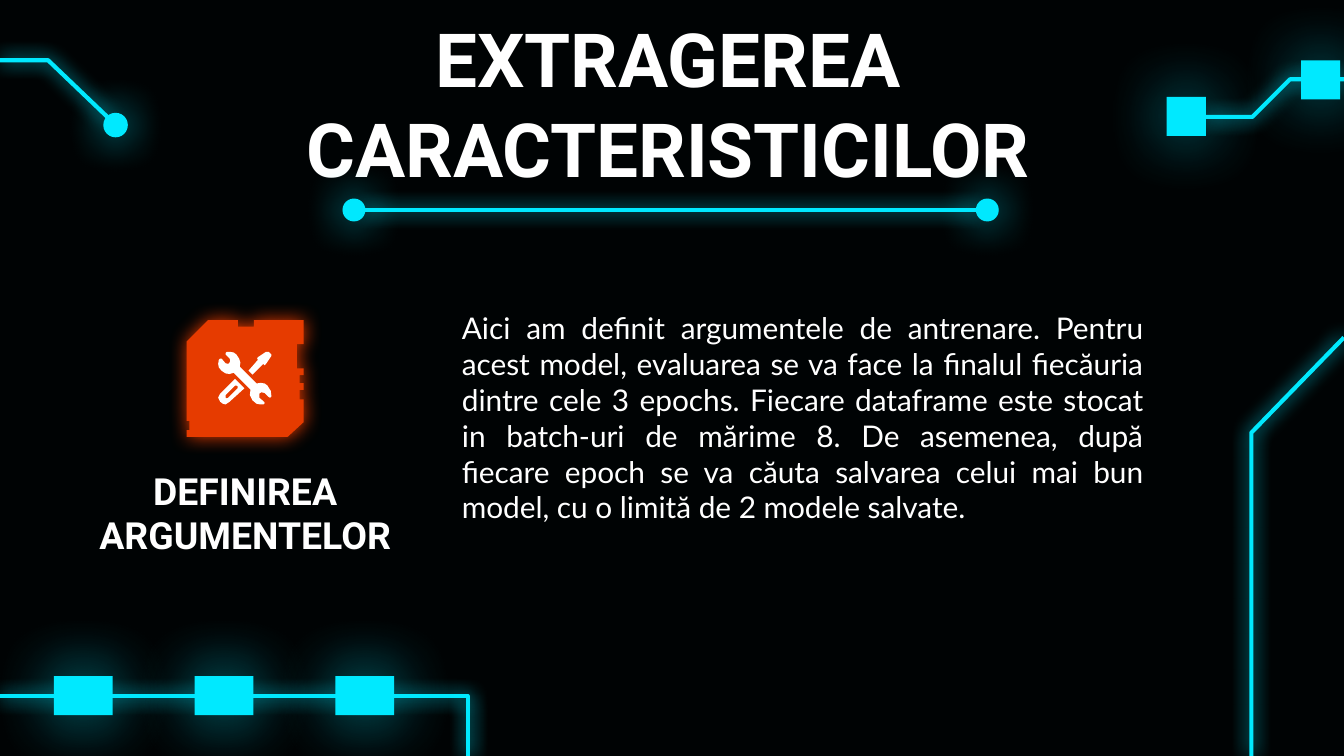
import dataclasses

import lxml.etree
import pptx
import pptx.dml.color
import pptx.enum.shapes
import pptx.enum.text
import pptx.oxml.ns
import pptx.util

Cm, Pt = pptx.util.Cm, pptx.util.Pt
RGB = pptx.dml.color.RGBColor.from_string
qn = pptx.oxml.ns.qn
SHAPE = pptx.enum.shapes.MSO_SHAPE
ALIGN = pptx.enum.text.PP_ALIGN


@dataclasses.dataclass(frozen=True)
class Theme:
    background: str = "000304"
    neon: str = "00E9FF"
    accent: str = "E63B00"
    text: str = "FFFFFF"
    heading_font: str = "Roboto"
    body_font: str = "Lato"
    title_size: int = 40
    subtitle_size: int = 20
    body_size: int = 16


theme = Theme()


def write(sp, text, box, size, font=theme.heading_font, bold=True, align=ALIGN.CENTER, top=0.25):
    sp.left, sp.top, sp.width, sp.height = [Cm(v) for v in box]
    tf = sp.text_frame
    tf.word_wrap = True
    tf.auto_size = pptx.enum.text.MSO_AUTO_SIZE.NONE
    tf.vertical_anchor = pptx.enum.text.MSO_ANCHOR.TOP
    tf.margin_left = tf.margin_right = tf.margin_bottom = Cm(0.25)
    tf.margin_top = Cm(top)
    p = tf.paragraphs[0]
    p.alignment = align
    p.line_spacing = 1.0
    p.space_before = p.space_after = Pt(0)
    r = p.add_run()
    r.text = text
    r.font.name, r.font.size, r.font.bold = font, Pt(size), bold
    r.font.color.rgb = RGB(theme.text)


def style(sp, fill=None, line=None, width=2.25, blur=0, alpha=100):
    """Set fill and line, and a glow of the same colour if blur (in points) is given."""
    if fill:
        sp.fill.solid()
        sp.fill.fore_color.rgb = RGB(fill)
    elif hasattr(sp, "fill"):
        sp.fill.background()
    if line:
        sp.line.color.rgb = RGB(line)
        sp.line.width = Pt(width)
    else:
        sp.line.fill.background()
    effects = lxml.etree.SubElement(sp._element.spPr, qn("a:effectLst"))
    if blur:
        glow = lxml.etree.SubElement(effects, qn("a:outerShdw"), blurRad=str(Pt(blur)),
                                     dist="0", dir="0", algn="ctr", rotWithShape="0")
        color = lxml.etree.SubElement(glow, qn("a:srgbClr"), val=fill or line)
        lxml.etree.SubElement(color, qn("a:alpha"), val=str(alpha * 1000))


prs = pptx.Presentation()
prs.slide_width, prs.slide_height = Cm(25.4), Cm(14.29)
s = prs.slides.add_slide(prs.slide_layouts[0])
s.background.fill.solid()
s.background.fill.fore_color.rgb = RGB(theme.background)

# Circuit traces, in cm
traces = [
    [(25.4, 6.38), (23.65, 8.18), (23.65, 14.29)],
    [(25.4, 1.5), (24.38, 1.5), (23.67, 2.21), (22.78, 2.21)],
    [(0, 13.16), (8.84, 13.16), (8.84, 14.29)],
    [(0, 1.14), (0.91, 1.14), (2.06, 2.24)],
]
for trace in traces:
    points = [(Cm(x), Cm(y)) for x, y in trace]
    builder = s.shapes.build_freeform(*points[0])
    builder.add_line_segments(points[1:], close=False)
    style(builder.convert_to_shape(), line=theme.neon, blur=10)

# Circuit pads
pads = [(22.05, 1.83, 0.74), (24.59, 1.14, 0.74)]
pads += [(1.02 + 2.66 * i, 12.78, 1.11) for i in range(3)]
for x, y, width in pads:
    sp = s.shapes.add_shape(SHAPE.RECTANGLE, Cm(x), Cm(y), Cm(width), Cm(0.74))
    style(sp, fill=theme.neon, blur=36, alpha=70)

# Round ends of the top left trace and of the title rule
for x, y, size in [(1.98, 2.16, 0.41), (6.5, 3.78, 0.38), (18.47, 3.78, 0.38)]:
    sp = s.shapes.add_shape(SHAPE.OVAL, Cm(x), Cm(y), Cm(size), Cm(size))
    style(sp, fill=theme.neon, line=theme.neon, width=1.5, blur=22.5)

rule = s.shapes.add_connector(pptx.enum.shapes.MSO_CONNECTOR.STRAIGHT,
                              Cm(6.88), Cm(3.97), Cm(18.47), Cm(3.97))
style(rule, line=theme.neon, blur=10)

# Badge and tools icon: contours on grids, each with its origin and step
badge = [[(16, 0), (0, 16), (0, 75), (2, 75), (2, 82), (0, 82), (0, 87), (75, 87), (87, 76),
          (87, 59), (84, 59), (84, 52), (87, 52), (87, 47), (84, 47), (84, 41), (87, 41),
          (87, 36), (82, 36), (82, 18), (87, 18), (87, 0), (50, 0), (50, 5), (38, 5), (38, 0)]]
wrench = [[(9, 0), (7, 0), (6, 1), (6, 2), (9, 5), (9.5, 6.5), (9, 8), (8, 9), (6, 8.5), (3, 5),
           (2, 5), (1, 6), (0.5, 9), (1, 11.5), (3, 14), (6, 16), (9, 16.5), (12, 15.5),
           (24.5, 28), (24, 32), (26, 36), (29, 38.5), (32, 39), (34, 39), (35, 38),
           (34.5, 37), (31, 34), (31, 31), (32.5, 30), (35, 30.5), (38, 33.5), (39, 34),
           (40, 33), (39.5, 29), (37, 25), (35, 23.5), (32, 23), (29, 23.5), (16.5, 11),
           (17, 8), (16, 5), (14, 2), (12, 0.5)]]
handle = [[(13, 20), (2, 31), (0.5, 34), (2, 37), (4, 38.5), (6, 39), (9, 37), (20, 27)],
          [(14, 25), (15, 25.5), (15, 27), (8, 34), (7, 34.5), (6, 34), (6, 32), (13, 25)]]
blade = [[(37, 0), (36, 0), (30, 4), (29.5, 5), (30, 6), (23, 14), (26, 17), (34, 9), (35, 10),
          (36, 9), (40, 3), (40, 2), (38, 0)]]
badge_step, icon_step = 2.21 / 87, 1.02 / 40
for contours, left, top, step, color, blur in [
    (badge, 3.53, 6.05, badge_step, theme.accent, 10),
    (wrench, 4.11, 6.65, icon_step, theme.text, 0),
    (handle, 4.11, 6.65, icon_step, theme.text, 0),
    (blade, 4.11, 6.65, icon_step, theme.text, 0),
]:
    builder = None
    for contour in contours:
        points = [(Cm(left + x * step), Cm(top + y * step)) for x, y in contour]
        if builder is None:
            builder = s.shapes.build_freeform(*points[0])
        else:
            builder.move_to(*points[0])
        builder.add_line_segments(points[1:], close=True)
    style(builder.convert_to_shape(), fill=color, blur=blur)

# Text
write(s.shapes.title, "EXTRAGEREA CARACTERISTICILOR", (5.31, 0, 14.63, 1.9), theme.title_size)
write(s.placeholders[1], "DEFINIREA ARGUMENTELOR", (1.42, 8.84, 6.43, 1.07),
      theme.subtitle_size, top=0)
body_box = [8.48, 5.61, 13.39, 6.88]
write(s.shapes.add_textbox(0, 0, 0, 0),
      "Aici am definit argumentele de antrenare. Pentru acest model, evaluarea se va face la "
      "finalul fiecăuria dintre cele 3 epochs. Fiecare dataframe este stocat in batch-uri de "
      "mărime 8. De asemenea, după fiecare epoch se va căuta salvarea celui mai bun model, cu "
      "o limită de 2 modele salvate.",
      body_box, theme.body_size, font=theme.body_font, bold=False, align=ALIGN.JUSTIFY)

prs.save("out.pptx")
